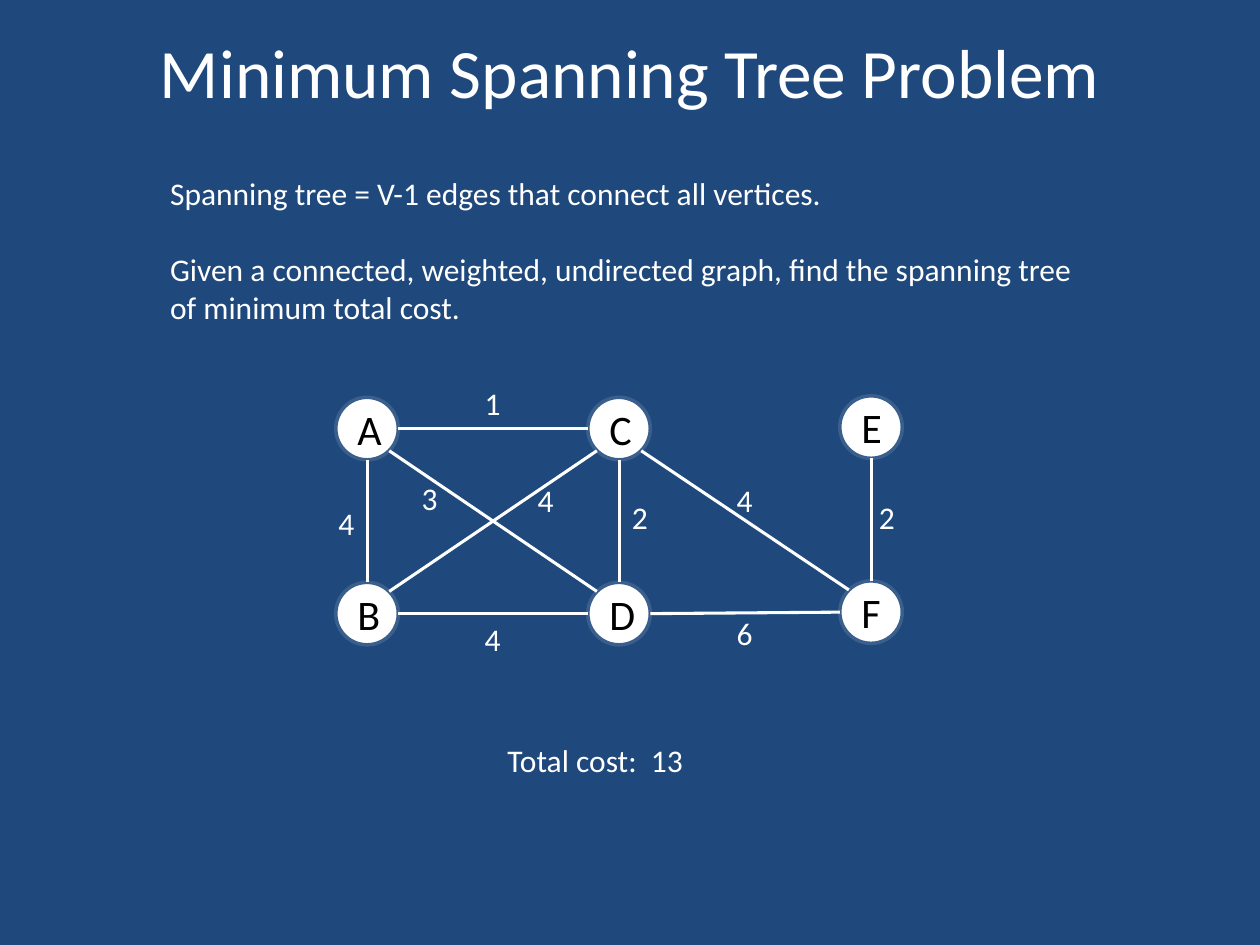
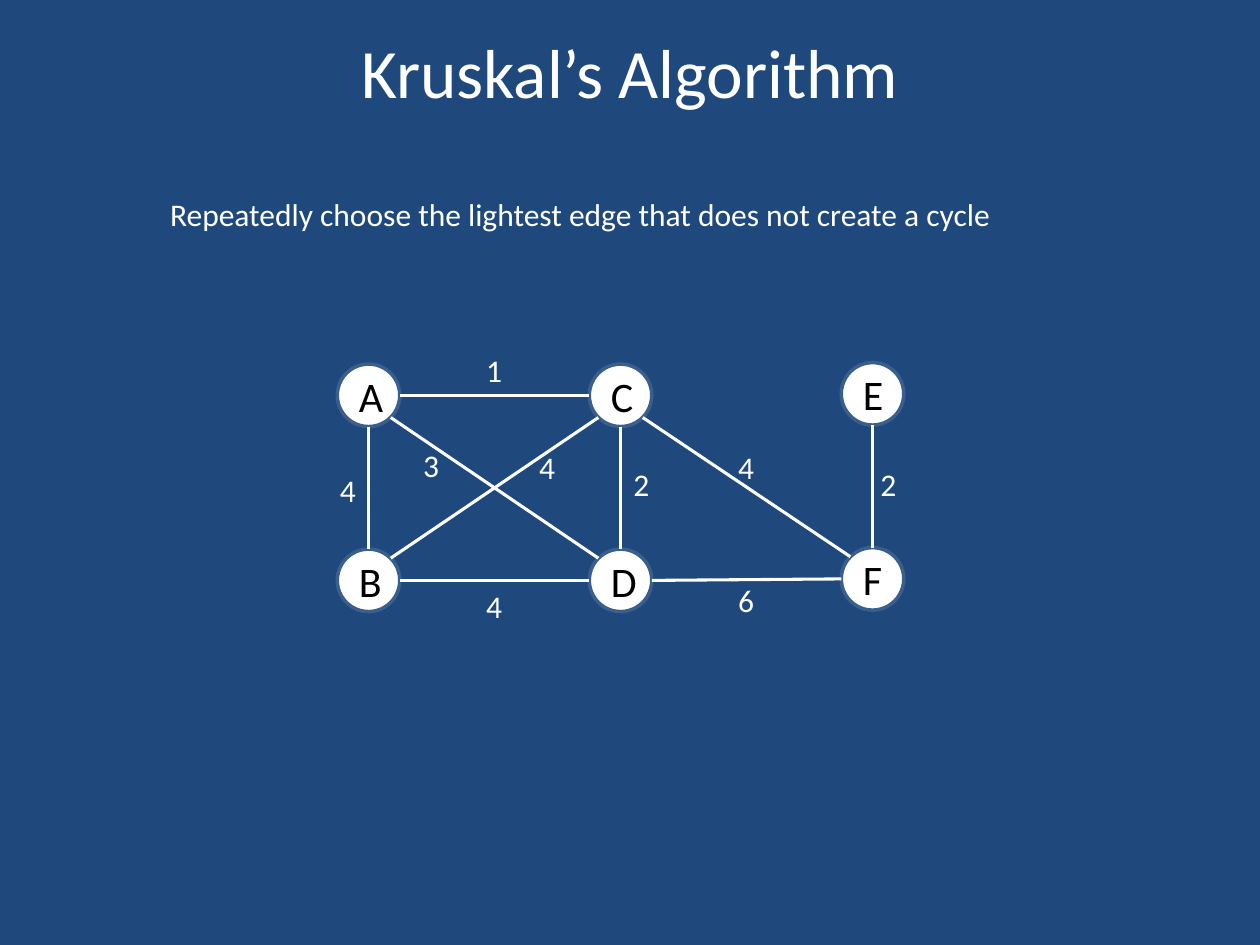
from pptx import Presentation
from pptx.dml.color import RGBColor as RGB
from pptx.enum.shapes import MSO_CONNECTOR as LINE, MSO_SHAPE as FORM
from pptx.enum.text import MSO_ANCHOR as ANCHOR, MSO_AUTO_SIZE as FIT, PP_ALIGN as ALIGN
from pptx.oxml.ns import qn
from pptx.util import Cm, Pt
from lxml.etree import SubElement as Sub

HUE = {"back": "1F497D", "ink": "FFFFFF", "rim": "3A5F8C", "name": "000000"}
FONT = "Calibri"
RAD = 0.63
COL, ROW, LIFT = 5.08, 3.73, 0.03
NODES = {"A": (0, 0), "B": (0, 1), "C": (1, 0), "D": (1, 1), "E": (2, 0), "F": (2, 1)}
EDGES = ["AC", "AB", "DF", "EF", "BD", "AD", "BC", "CD", "CF"]
COSTS = [
    ("6", 7.2, 3.61), ("4", 7.2, 0.94), ("4", 2.12, 3.73),
    ("1", 2.12, -1.02), ("2", 5.09, 1.27), ("4", -0.83, 1.4),
    ("3", 0.85, 0.89), ("2", 10.07, 1.27), ("4", 3.19, 0.94),
]
PAGES = [
    {
        "title": "Minimum Spanning Tree Problem",
        "text": [
            "Spanning tree = V-1 edges that connect all vertices.",
            "Given a connected, weighted, undirected graph, find the spanning tree of minimum total cost.",
        ],
        "box": (3.38, 3.33),
        "graph": (7.4, 8.64),
        "total": "Total cost:  13",
    },
    {
        "title": "Kruskal’s Algorithm",
        "text": ["Repeatedly choose the lightest edge that does not create a cycle"],
        "box": (3.81, 1.02),
        "graph": (7.43, 7.97),
        "total": None,
    },
]


def write(frame, lines, size, hue="ink", align=ALIGN.LEFT):
    for i, line in enumerate(lines):
        para = frame.add_paragraph() if i else frame.paragraphs[0]
        para.alignment = align
        if i:
            para.space_before = Pt(22)
        run = para.add_run()
        run.text = line
        run.font.name = FONT
        run.font.size = Pt(size)
        run.font.color.rgb = RGB.from_string(HUE[hue])


def label(slide, lines, x, y, w, h=1.02, wrap=False):
    frame = slide.shapes.add_textbox(Cm(x), Cm(y), Cm(w), Cm(h)).text_frame
    frame.word_wrap = wrap
    frame.auto_size = FIT.SHAPE_TO_FIT_TEXT
    write(frame, lines, 18)


prs = Presentation()
prs.slide_width, prs.slide_height = Cm(25.4), Cm(19.05)
fill = prs.slide_master.background.fill
fill.solid()
fill.fore_color.rgb = RGB.from_string(HUE["back"])

for page in PAGES:
    slide = prs.slides.add_slide(prs.slide_layouts[5])
    title = slide.shapes.title
    title.left, title.top = Cm(1.27), Cm(0.43)
    title.width, title.height = Cm(22.86), Cm(1.98)
    title.text_frame.auto_size = FIT.NONE
    title.text_frame.vertical_anchor = ANCHOR.MIDDLE
    write(title.text_frame, [page["title"]], 39.6, align=ALIGN.CENTER)

    top, high = page["box"]
    label(slide, page["text"], 3.18, top, 18.85, high, True)

    left, top = page["graph"]
    spots = {}
    for name, (col, row) in NODES.items():
        x = left + col * COL
        y = top + row * ROW - (LIFT if col == 2 else 0)
        spots[name] = x, y
        node = slide.shapes.add_shape(
            FORM.OVAL, Cm(x - RAD), Cm(y - RAD), Cm(2 * RAD), Cm(2 * RAD))
        node.shadow.inherit = False
        node.fill.solid()
        node.fill.fore_color.rgb = RGB.from_string(HUE["ink"])
        node.line.color.rgb = RGB.from_string(HUE["rim"])
        node.line.width = Pt(2)
        node.text_frame.vertical_anchor = ANCHOR.MIDDLE
        write(node.text_frame, [name], 24, "name", ALIGN.CENTER)

    for a, b in EDGES:
        dx = NODES[b][0] - NODES[a][0]
        dy = NODES[b][1] - NODES[a][1]
        gap = RAD * (0.71 if dx and dy else 1)
        (ax, ay), (bx, by) = spots[a], spots[b]
        edge = slide.shapes.add_connector(
            LINE.STRAIGHT, Cm(ax + dx * gap), Cm(ay + dy * gap),
            Cm(bx - dx * gap), Cm(by - dy * gap))
        edge.line.color.rgb = RGB.from_string(HUE["ink"])
        edge.line.width = Pt(1.75)
        Sub(edge._element.spPr, qn("a:effectLst"))

    for cost, x, y in COSTS:
        label(slide, [cost], left + x, top + y, 0.83)

    if page["total"]:
        label(slide, [page["total"]], 9.98, 14.81, 4.09)

prs.save("out.pptx")
